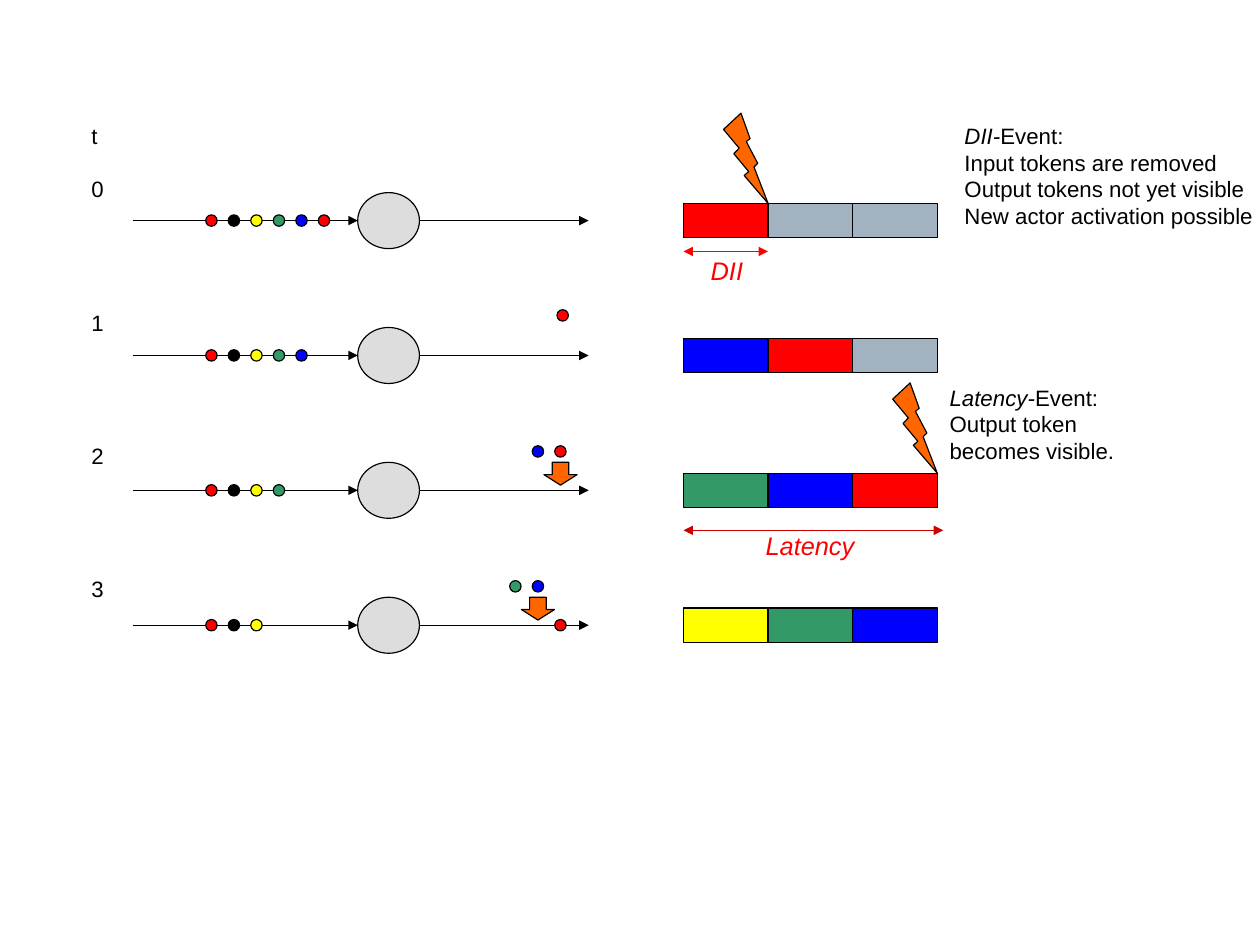
from dataclasses import dataclass

from lxml import etree
from pptx import Presentation
from pptx import util as u
from pptx.dml.color import RGBColor
from pptx.enum import shapes, text
from pptx.oxml.ns import qn


@dataclass(frozen=True)
class Theme:
    font: str = "Arial"
    body: float = 14
    caption: float = 16
    line_width: float = 0.75
    black: str = "000000"
    red: str = "FF0000"
    dark_red: str = "CC0000"
    blue: str = "0000FF"
    green: str = "339966"
    yellow: str = "FFFF00"
    idle: str = "A3B2C1"
    actor: str = "DDDDDD"
    event: str = "FF6600"


THEME = Theme()

# Grid in inches: one row per time step, token slots, pipeline cells
FIRST_ROW, ROW = 1.93, 1.18
FIRST_SLOT, SLOT = 1.85, 0.197
FIRST_CELL, CELL, CELL_HEIGHT = 5.98, 0.74, 0.3
TOKEN, RAISED = 0.1, 0.34
ACTOR_LEFT, ACTOR_WIDTH, ACTOR_HEIGHT = 3.13, 0.54, 0.49
INPUT_START, OUTPUT_END = 1.16, 5.15
TEXT_LINE = 16.8  # points

QUEUE = [THEME.red, THEME.black, THEME.yellow, THEME.green, THEME.blue, THEME.red]

# Per time step: waiting tokens, pipeline cells, produced tokens (slot, lift, colour)
STEPS = [
    (6, [THEME.red, THEME.idle, THEME.idle], []),
    (5, [THEME.blue, THEME.red, THEME.idle], [(15.6, 0.35, THEME.red)]),
    (4, [THEME.green, THEME.blue, THEME.red],
     [(14.5, RAISED, THEME.blue), (15.5, RAISED, THEME.red)]),
    (3, [THEME.yellow, THEME.green, THEME.blue],
     [(13.5, RAISED, THEME.green), (14.5, RAISED, THEME.blue), (15.5, 0, THEME.red)]),
]


def row_y(row):
    return FIRST_ROW + ROW * row


def slot_x(slot):
    return FIRST_SLOT + SLOT * slot


def cell_x(cell):
    return FIRST_CELL + CELL * cell


def add_figure(slide, kind, left, top, width, height, fill):
    shape = slide.shapes.add_shape(
        kind, u.Inches(left), u.Inches(top), u.Inches(width), u.Inches(height))
    shape.shadow.inherit = False
    shape.fill.solid()
    shape.fill.fore_color.rgb = RGBColor.from_string(fill)
    shape.line.color.rgb = RGBColor.from_string(THEME.black)
    shape.line.width = u.Pt(THEME.line_width)
    return shape


def add_arrow(slide, start, end, y, color=THEME.black, both_ends=False):
    connector = slide.shapes.add_connector(
        shapes.MSO_CONNECTOR.STRAIGHT,
        u.Inches(start), u.Inches(y), u.Inches(end), u.Inches(y))
    connector.line.color.rgb = RGBColor.from_string(color)
    connector.line.width = u.Pt(THEME.line_width)
    properties = connector.line._get_or_add_ln()
    for end_name in (["a:headEnd"] if both_ends else []) + ["a:tailEnd"]:
        etree.SubElement(properties, qn(end_name), type="triangle")
    etree.SubElement(connector._element.spPr, qn("a:effectLst"))


def add_text(slide, left, top, width, height, paragraphs,
             size=THEME.body, color=THEME.black, gaps=()):
    """Each paragraph is a list of (text, italic) runs; None breaks the line."""
    box = slide.shapes.add_textbox(
        u.Inches(left), u.Inches(top), u.Inches(width), u.Inches(height))
    frame = box.text_frame
    frame.word_wrap = False
    frame.auto_size = text.MSO_AUTO_SIZE.SHAPE_TO_FIT_TEXT
    for index, runs in enumerate(paragraphs):
        paragraph = frame.add_paragraph() if index else frame.paragraphs[0]
        if gaps:
            paragraph.space_before = u.Pt(gaps[index])
        for item in runs:
            if item is None:
                paragraph.add_line_break()
                continue
            run = paragraph.add_run()
            run.text, run.font.italic = item
            run.font.name = THEME.font
            run.font.size = u.Pt(size)
            run.font.color.rgb = RGBColor.from_string(color)


def add_token(slide, slot, y, color):
    add_figure(slide, shapes.MSO_SHAPE.OVAL, slot_x(slot) - TOKEN / 2,
               y - TOKEN / 2, TOKEN, TOKEN, color)


def add_step(slide, row, waiting, cells, produced):
    y = row_y(row)
    # Actor with its input and output edge
    add_figure(slide, shapes.MSO_SHAPE.OVAL, ACTOR_LEFT, y - ACTOR_HEIGHT / 2,
               ACTOR_WIDTH, ACTOR_HEIGHT, THEME.actor)
    add_arrow(slide, INPUT_START, ACTOR_LEFT, y)
    add_arrow(slide, ACTOR_LEFT + ACTOR_WIDTH, OUTPUT_END, y)
    # Tokens
    for slot, color in enumerate(QUEUE[:waiting]):
        add_token(slide, slot, y, color)
    for slot, lift, color in produced:
        add_token(slide, slot, y - lift, color)
    # Pipeline
    for cell, color in enumerate(cells):
        add_figure(slide, shapes.MSO_SHAPE.RECTANGLE, cell_x(cell),
                   y - CELL_HEIGHT / 2, CELL, CELL_HEIGHT, color)


def add_release(slide, row, slot):
    width, height = 0.29, 0.2
    arrow = add_figure(slide, shapes.MSO_SHAPE.DOWN_ARROW, slot_x(slot) - width / 2,
                       row_y(row) - 0.245, width, height, THEME.event)
    arrow.adjustments[0], arrow.adjustments[1] = 0.5, 0.46


def add_event(slide, row, cell):
    width, height = 0.39, 0.79
    add_figure(slide, shapes.MSO_SHAPE.LIGHTNING_BOLT, cell_x(cell) - width,
               row_y(row) - CELL_HEIGHT / 2 - height, width, height, THEME.event)


def main():
    presentation = Presentation()
    presentation.slide_width = u.Cm(28)
    presentation.slide_height = u.Cm(21)
    slide = presentation.slides.add_slide(presentation.slide_layouts[6])

    for row, step in enumerate(STEPS):
        add_step(slide, row, *step)

    # Output tokens being released
    add_release(slide, 2, 15.5)
    add_release(slide, 3, 14.5)

    # Time axis
    add_text(slide, 0.7, 1.02, 0.31, 4.47, [[(label, False)] for label in "t0123"],
             gaps=[0, TEXT_LINE] + [4 * TEXT_LINE] * 3)

    # Durations
    add_arrow(slide, cell_x(0), cell_x(1), row_y(0) + 0.27, THEME.red, both_ends=True)
    add_arrow(slide, cell_x(0), cell_x(3.07), row_y(2) + 0.35, THEME.dark_red, both_ends=True)
    add_text(slide, 6.12, 2.18, 0.5, 0.35, [[("DII", True)]], THEME.caption, THEME.red)
    add_text(slide, 6.6, 4.59, 1, 0.35, [[("Latency", True)]], THEME.caption, THEME.red)

    # Events
    add_event(slide, 0, 1)
    add_text(slide, 8.34, 1.02, 2.76, 0.98, [
        [("DII-", True), ("Event:", False)],
        [("Input tokens are removed", False)],
        [("Output tokens not yet visible", False), None,
         ("New actor activation possible", False)],
    ])
    add_event(slide, 2, 3)
    add_text(slide, 8.21, 3.31, 1.66, 0.76, [
        [("Latency-", True), ("Event:", False)],
        [("Output token", False), None, ("becomes visible.", False)],
    ])

    presentation.save("out.pptx")


if __name__ == "__main__":
    main()
